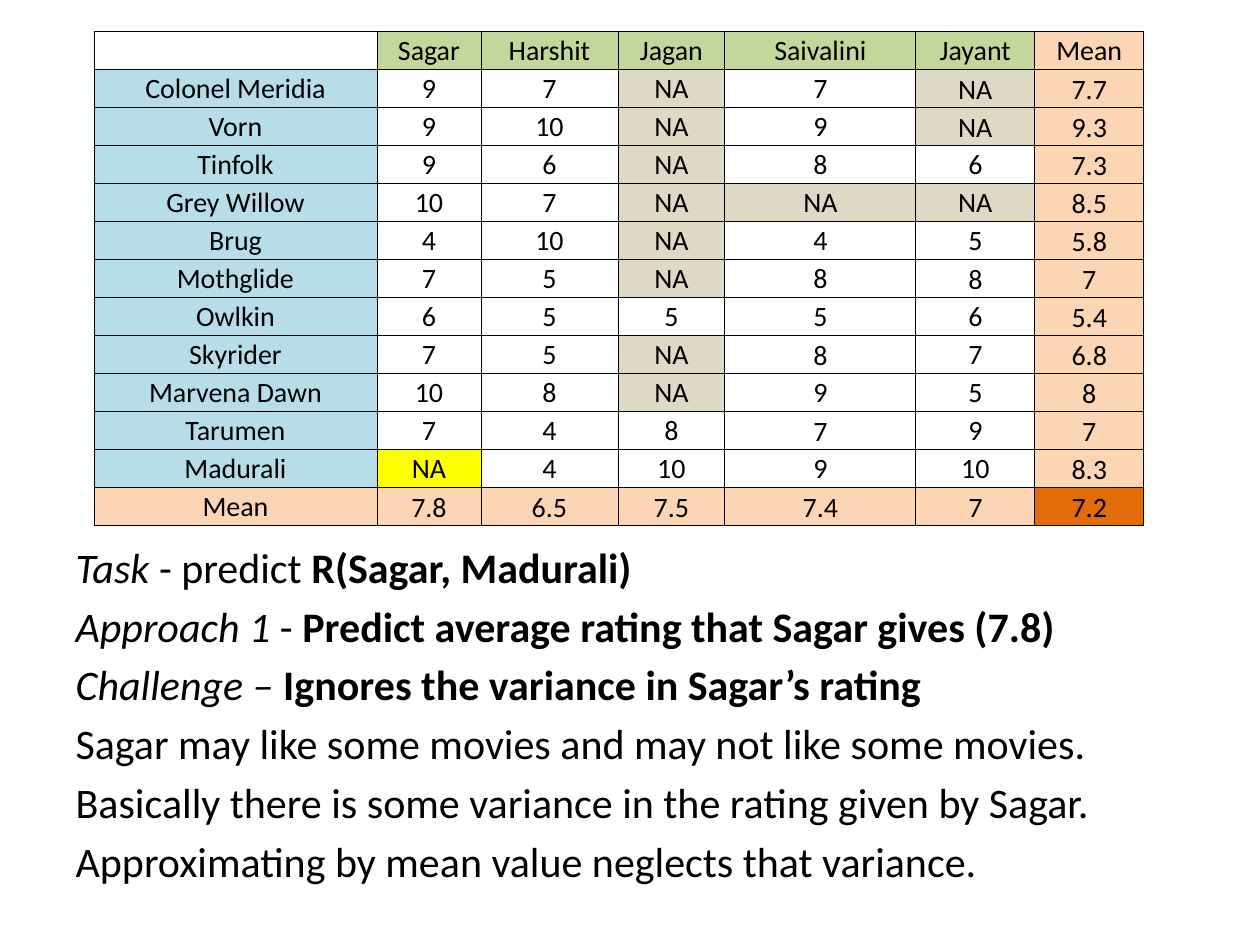
from pptx import Presentation
from pptx import util as u
from pptx.dml import color
from pptx.enum import text
from pptx.oxml import ns
from lxml import etree

SCALE = 914400 / 126


def px(v):
    return u.Emu(round(v * SCALE))


def rgb(h):
    return color.RGBColor.from_string(h)


prs = Presentation()
prs.slide_width, prs.slide_height = px(1260), px(945)
s = prs.slides.add_slide(prs.slide_layouts[1])
title = s.shapes.title
title._element.getparent().remove(title._element)

body = s.placeholders[1]
body.left, body.top, body.width, body.height = px(63), px(535), px(1134), px(368)
tf = body.text_frame
tf.auto_size = text.MSO_AUTO_SIZE.NONE
lines = [
    [("Task", "i"), (" - predict ", ""), ("R(Sagar, Madurali)", "b")],
    [("Approach 1", "i"), (" - ", ""),
     ("Predict average rating that Sagar gives (7.8)", "b")],
    [("Challenge – ", "i"), ("Ignores the variance in Sagar’s rating", "b")],
    [("Sagar may like some movies and may not like some movies.", "")],
    [("Basically there is some variance in the rating given by Sagar.", "")],
    [("Approximating by mean value neglects that variance.", "")],
]
for i, line in enumerate(lines):
    p = tf.add_paragraph() if i else tf.paragraphs[0]
    pPr = p._p.get_or_add_pPr()
    pPr.set("marL", "0")
    pPr.set("indent", "0")
    etree.SubElement(pPr, ns.qn("a:buNone"))
    for words, style in line:
        r = p.add_run()
        r.text = words
        r.font.name, r.font.size = "Calibri", u.Pt(24)
        r.font.color.rgb = rgb("000000")
        r.font.italic, r.font.bold = style == "i", style == "b"

ratings = [
    ["", "Sagar", "Harshit", "Jagan", "Saivalini", "Jayant", "Mean"],
    ["Colonel Meridia", "9", "7", "NA", "7", "NA", "7.7"],
    ["Vorn", "9", "10", "NA", "9", "NA", "9.3"],
    ["Tinfolk", "9", "6", "NA", "8", "6", "7.3"],
    ["Grey Willow", "10", "7", "NA", "NA", "NA", "8.5"],
    ["Brug", "4", "10", "NA", "4", "5", "5.8"],
    ["Mothglide", "7", "5", "NA", "8", "8", "7"],
    ["Owlkin", "6", "5", "5", "5", "6", "5.4"],
    ["Skyrider", "7", "5", "NA", "8", "7", "6.8"],
    ["Marvena Dawn", "10", "8", "NA", "9", "5", "8"],
    ["Tarumen", "7", "4", "8", "7", "9", "7"],
    ["Madurali", "NA", "4", "10", "9", "10", "8.3"],
    ["Mean", "7.8", "6.5", "7.5", "7.4", "7", "7.2"],
]
widths = [283, 104, 137, 107, 191, 119, 109]
last_row, last_col = len(ratings) - 1, len(widths) - 1
low_cells = {(1, 5), (2, 5), (6, 5), (8, 4), (10, 4)}

table = s.shapes.add_table(len(ratings), len(widths), px(94), px(31),
                           px(sum(widths)), px(38 * len(ratings))).table
table.first_row = table.horz_banding = False
for col, w in zip(table.columns, widths):
    col.width = px(w)
for i, row in enumerate(ratings):
    table.rows[i].height = px(38)
    for j, value in enumerate(row):
        cell = table.cell(i, j)
        cell.margin_left = cell.margin_right = cell.margin_top = px(1)
        cell.margin_bottom = 0
        low = (i == last_row and j > 0) or (j == last_col and i > 0) or (i, j) in low_cells
        cell.vertical_anchor = text.MSO_ANCHOR.BOTTOM if low else text.MSO_ANCHOR.MIDDLE
        p = cell.text_frame.paragraphs[0]
        p.alignment = text.PP_ALIGN.CENTER
        if value:
            r = p.add_run()
            r.text = value
            r.font.name, r.font.size = "Calibri", u.Pt(16)
            r.font.color.rgb = rgb("000000")
        else:
            etree.SubElement(p._p, ns.qn("a:endParaRPr"), sz="1600")

        tcPr = cell._tc.get_or_add_tcPr()
        for side in ("a:lnL", "a:lnR", "a:lnT", "a:lnB"):
            ln = etree.SubElement(tcPr, ns.qn(side), w="6350")
            solid = etree.SubElement(ln, ns.qn("a:solidFill"))
            etree.SubElement(solid, ns.qn("a:srgbClr"), val="000000")

        if (i, j) == (last_row, last_col):
            fill = "E26B0A"
        elif i == last_row or j == last_col:
            fill = "FCD5B4"
        elif (i, j) == (last_row - 1, 1):
            fill = "FFFF00"
        elif value == "NA":
            fill = "DDD9C4"
        elif i == 0 and j > 0:
            fill = "C4D79B"
        elif j == 0 and i > 0:
            fill = "B7DEE8"
        else:
            fill = None
        if fill:
            cell.fill.solid()
            cell.fill.fore_color.rgb = rgb(fill)
        else:
            cell.fill.background()

prs.save("out.pptx")
